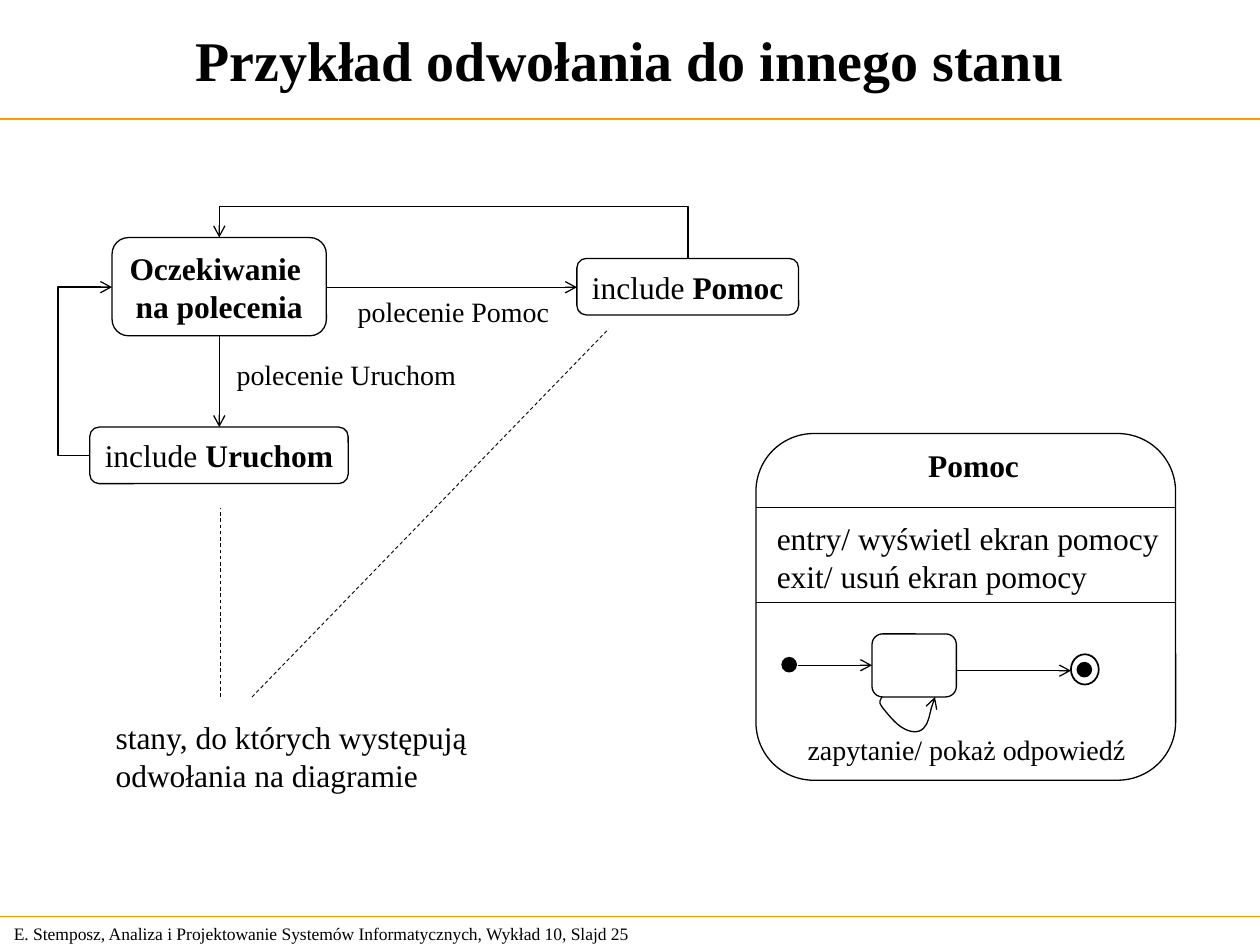
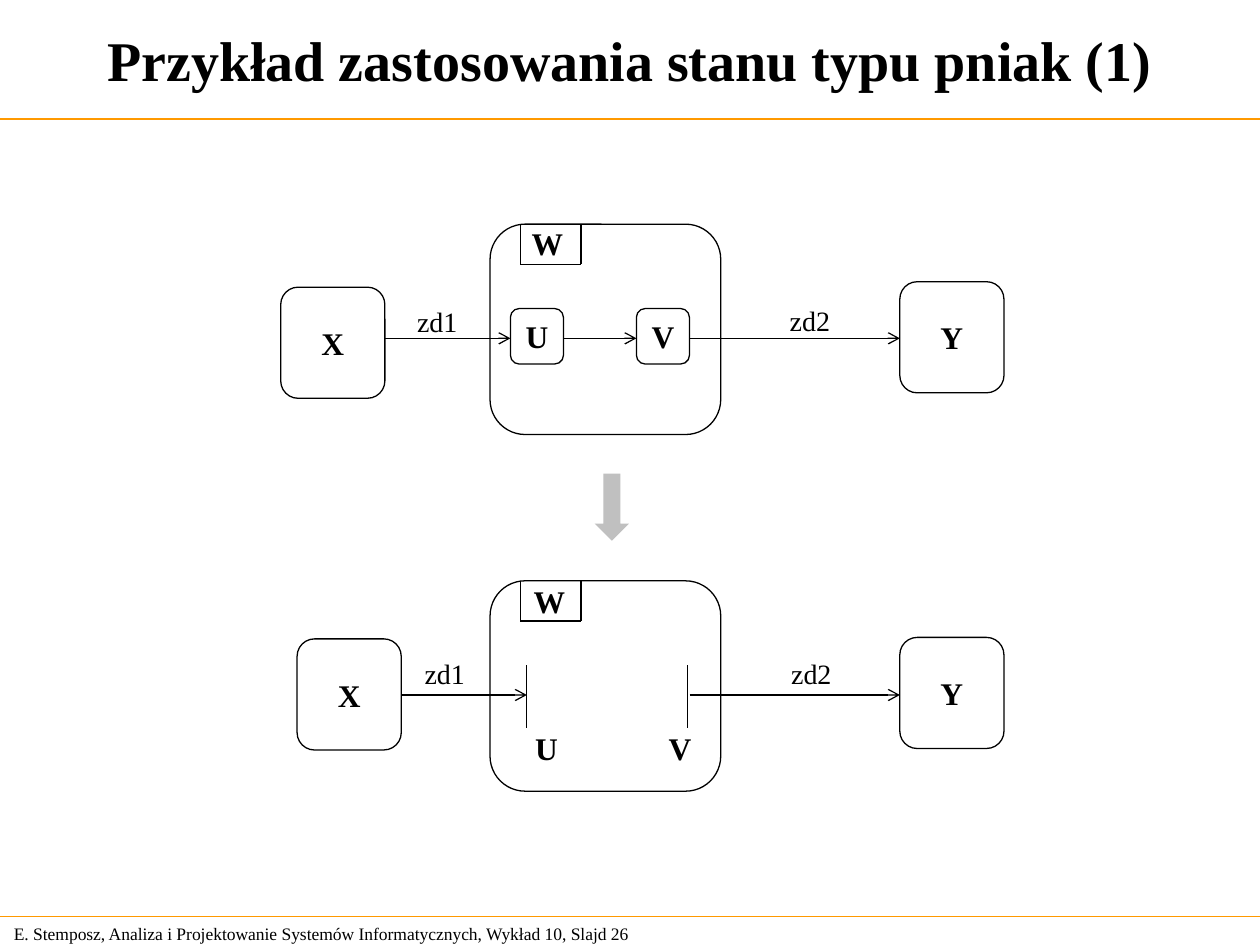
from dataclasses import dataclass

from lxml import etree
from pptx import Presentation
from pptx.dml.color import RGBColor
from pptx.enum.dml import MSO_LINE
from pptx.enum.shapes import MSO_CONNECTOR, MSO_SHAPE
from pptx.enum.text import MSO_ANCHOR, MSO_AUTO_SIZE, PP_ALIGN
from pptx.oxml.ns import qn
from pptx.util import Cm, Pt

STRAIGHT, ELBOW = MSO_CONNECTOR.STRAIGHT, MSO_CONNECTOR.ELBOW
ROUNDED, OVAL = MSO_SHAPE.ROUNDED_RECTANGLE, MSO_SHAPE.OVAL
DOWN_ARROW = MSO_SHAPE.DOWN_ARROW
LEFT, CENTER = PP_ALIGN.LEFT, PP_ALIGN.CENTER
MIDDLE, TOP = MSO_ANCHOR.MIDDLE, MSO_ANCHOR.TOP
FIT_SHAPE, NO_FIT = MSO_AUTO_SIZE.SHAPE_TO_FIT_TEXT, MSO_AUTO_SIZE.NONE
DASH = MSO_LINE.DASH
TITLE_ONLY = 5


@dataclass(frozen=True)
class Theme:
    font: str = "Times New Roman"
    ink: RGBColor = RGBColor(0, 0, 0)
    paper: RGBColor = RGBColor(255, 255, 255)
    rule: RGBColor = RGBColor(0xFF, 0x99, 0)
    step: RGBColor = RGBColor(0xC0, 0xC0, 0xC0)
    title: float = 32
    state: float = 18
    event: float = 16
    footer: float = 10
    outline: float = 0.75
    pseudo: float = 1
    note: float = 0.5


THEME = Theme()
WIDTH, HEIGHT = 25.4, 19.05
HEADER_RULE, FOOTER_RULE = 2.4, 18.48
FOOTER = "E. Stemposz, Analiza i Projektowanie Systemów Informatycznych, Wykład 10, Slajd "


def plain(*lines):
    return [[(line, False)] for line in lines]


def bold(*lines):
    return [[(line, True)] for line in lines]


def write(frame, lines, size, align=LEFT, anchor=TOP):
    frame.vertical_anchor = anchor
    for number, line in enumerate(lines):
        paragraph = frame.add_paragraph() if number else frame.paragraphs[0]
        paragraph.alignment = align
        for text, is_bold in line:
            run = paragraph.add_run()
            run.text = text
            run.font.name = THEME.font
            run.font.size = Pt(size)
            run.font.bold = is_bold
            run.font.color.rgb = THEME.ink


def stroke(line, color=THEME.ink, width=THEME.outline):
    line.color.rgb = color
    line.width = Pt(width)


def add_arrowhead(properties):
    outline = properties.find(qn("a:ln"))
    etree.SubElement(outline, qn("a:tailEnd"), type="arrow")


class Region:
    def __init__(self, slide, left=0, top=0):
        self.shapes = slide.shapes
        self.left, self.top = left, top

    def at(self, x, y):
        return Cm(self.left + x), Cm(self.top + y)

    def preset(self, kind, x, y, width, height, fill=THEME.paper, outline=THEME.outline):
        shape = self.shapes.add_shape(kind, *self.at(x, y), Cm(width), Cm(height))
        shape.shadow.inherit = False
        if fill is None:
            shape.fill.background()
        else:
            shape.fill.solid()
            shape.fill.fore_color.rgb = fill
        if outline:
            stroke(shape.line, width=outline)
        else:
            shape.line.fill.background()
        return shape

    def state(self, x, y, width, height, lines=()):
        shape = self.preset(ROUNDED, x, y, width, height)
        shape.text_frame.word_wrap = False
        write(shape.text_frame, lines, THEME.state, CENTER, MIDDLE)

    def label(self, x, y, width, height, lines, size=THEME.state):
        frame = self.shapes.add_textbox(*self.at(x, y), Cm(width), Cm(height)).text_frame
        frame.word_wrap = False
        frame.auto_size = FIT_SHAPE
        write(frame, lines, size)

    def event(self, x, y, width, text):
        self.label(x, y, width, 0.94, plain(text), THEME.event)

    def line(self, start, end, color=THEME.ink, width=THEME.outline, kind=STRAIGHT):
        connector = self.shapes.add_connector(kind, *self.at(*start), *self.at(*end))
        stroke(connector.line, color, width)
        etree.SubElement(connector._element.spPr, qn("a:effectLst"))
        return connector

    def arrow(self, start, end, kind=STRAIGHT):
        connector = self.line(start, end, kind=kind)
        add_arrowhead(connector._element.spPr)
        return connector

    def note_line(self, start, end):
        self.line(start, end, width=THEME.note).line.dash_style = DASH

    def elbow(self, start, end, bend, vertical=False):
        axis = int(vertical)
        ratio = (bend - start[axis]) / (end[axis] - start[axis])
        if vertical:
            middle_x, middle_y = ((a + b) / 2 for a, b in zip(start, end))
            half_x, half_y = ((a - b) / 2 for a, b in zip(start, end))
            start = middle_x - half_y, middle_y + half_x
            end = middle_x + half_y, middle_y - half_x
        properties = self.arrow(start, end, ELBOW)._element.spPr
        if vertical:
            properties.find(qn("a:xfrm")).set("rot", str(270 * 60000))
        adjustments = properties.find(qn("a:prstGeom")).find(qn("a:avLst"))
        etree.SubElement(adjustments, qn("a:gd"), name="adj1",
                         fmla=f"val {round(ratio * 100000)}")

    def curved_arrow(self, points):
        start, *controls = [self.at(*point) for point in points]
        builder = self.shapes.build_freeform(*start)
        builder.add_line_segments(controls, close=False)
        curve = builder.convert_to_shape()
        curve.shadow.inherit = False
        curve.fill.background()
        stroke(curve.line)
        add_arrowhead(curve._element.spPr)
        segments = list(curve._element.iter(qn("a:lnTo")))
        for first in range(0, len(segments), 3):
            cubic = etree.Element(qn("a:cubicBezTo"))
            segments[first].addprevious(cubic)
            for segment in segments[first:first + 3]:
                cubic.append(segment[0])
                segment.getparent().remove(segment)


def add_framed_slide(deck, title, number):
    slide = deck.slides.add_slide(deck.slide_layouts[TITLE_ONLY])
    heading = slide.shapes.title
    heading.left, heading.top = Cm(0.1), Cm(0.12)
    heading.width, heading.height = Cm(25.2), Cm(2.16)
    heading.text_frame.auto_size = NO_FIT
    write(heading.text_frame, bold(title), THEME.title, CENTER, MIDDLE)
    page = Region(slide)
    for y in (HEADER_RULE, FOOTER_RULE):
        page.line((0, y), (WIDTH, y), THEME.rule)
    footer = slide.shapes.add_textbox(Cm(0.03), Cm(FOOTER_RULE), Cm(13.31), Cm(0.69))
    footer.text_frame.word_wrap = True
    write(footer.text_frame, plain(f"{FOOTER}{number}"), THEME.footer, anchor=MIDDLE)
    return slide


def draw_command_states(slide, left, top):
    region = Region(slide, left, top)
    axis_x, axis_y = 3.25, 1.62
    region.state(1.09, 0.62, 4.32, 1.98, bold("Oczekiwanie ", "na polecenia"))
    for x, y, width, target in ((10.46, 1.04, 4.47, "Pomoc"), (0.64, 4.44, 5.21, "Uruchom")):
        region.state(x, y, width, 1.14, [[("include ", False), (target, True)]])
    region.arrow((5.41, axis_y), (10.46, axis_y))
    region.arrow((axis_x, 2.6), (axis_x, 4.44))
    region.elbow((12.7, 1.04), (axis_x, 0.62), 0, vertical=True)
    region.elbow((0.64, 5.01), (1.09, axis_y), 0)
    region.event(5.79, 1.65, 4.37, "polecenie Pomoc")
    region.event(3.35, 2.92, 4.93, "polecenie Uruchom")
    region.note_line((3.28, 9.88), (3.28, 6.07))
    region.note_line((3.91, 9.88), (11.1, 2.46))
    region.label(0.91, 10.18, 7.62, 1.78,
                 plain("stany, do których występują", "odwołania na diagramie"))


def draw_help_state(slide, left, top, width, height):
    region = Region(slide, left, top)
    region.state(0, 0, width, height)
    region.label(3.22, 0.13, 2.34, 1.02, bold("Pomoc"))
    region.label(0.17, 1.6, 8.4, 1.78,
                 plain("entry/ wyświetl ekran pomocy", "exit/ usuń ekran pomocy"))
    for y in (1.49, 3.4):
        region.line((0, y), (width, y))
    region.state(2.34, 4.04, 1.7, 1.27)
    region.preset(OVAL, 6.35, 4.45, 0.56, 0.61, None, THEME.pseudo)
    for x, y in ((0.53, 4.52), (6.48, 4.62)):
        region.preset(OVAL, x, y, 0.28, 0.28, THEME.ink, THEME.pseudo)
    region.arrow((0.84, 4.67), (2.34, 4.67))
    region.arrow((4.04, 4.78), (6.35, 4.78))
    region.curved_arrow([
        (2.54, 5.31),
        (2.51, 5.36), (2.46, 5.41), (2.54, 5.51),
        (2.62, 5.61), (2.82, 5.87), (2.97, 5.94),
        (3.1, 6.02), (3.28, 6.05), (3.38, 5.94),
        (3.48, 5.84), (3.56, 5.38), (3.61, 5.31),
    ])
    region.event(0.79, 5.9, 6.91, "zapytanie/ pokaż odpowiedź")


def draw_composite(slide, left, top, x_state, y_state, name, events, entry, leave):
    region = Region(slide, left, top)
    axis, side, height = 2.3, 2.1, 2.24
    region.state(0, 0, 4.65, 4.24)
    region.label(*name, 1.14, 1.02, bold("W"))
    tab = [(0.61, 0), (0.61, 0.81), (1.83, 0.81), (1.83, 0)]
    for start, end in zip(tab, tab[1:]):
        region.line(start, end)
    for corner, letter in ((x_state, "X"), (y_state, "Y")):
        region.state(*corner, side, height, bold(letter))
    region.arrow((x_state[0] + side, axis), (entry, axis))
    region.arrow((leave, axis), (y_state[0], axis))
    for corner, text in zip(events, ("zd1", "zd2")):
        region.event(*corner, 1.32, text)
    return region


def draw_full_states(region):
    for x, letter in ((0.41, "U"), (2.95, "V")):
        region.state(x, 1.7, 1.07, 1.12, bold(letter))
    region.arrow((1.48, 2.3), (2.95, 2.3))


def draw_stub_states(region):
    for x, label_x, letter in ((0.74, 0.66, "U"), (3.98, 3.35, "V")):
        region.line((x, 1.7), (x, 2.97))
        region.label(label_x, 2.87, 0.97, 1.02, bold(letter))


def draw_step(slide, left, top):
    step = Region(slide, left, top)
    step.preset(DOWN_ARROW, 0, 0, 0.69, 1.35, THEME.step, None)


def main():
    deck = Presentation()
    deck.slide_width, deck.slide_height = Cm(WIDTH), Cm(HEIGHT)

    reference = add_framed_slide(deck, "Przykład odwołania do innego stanu", 25)
    draw_command_states(reference, 1.17, 4.17)
    draw_help_state(reference, 15.24, 8.74, 8.46, 6.99)

    stub = add_framed_slide(deck, "Przykład zastosowania stanu typu pniak (1)", 26)
    full = draw_composite(stub, 9.88, 4.52, (-4.22, 1.27), (8.26, 1.16), (0.59, -0.13),
                          ((-1.72, 1.5), (5.79, 1.48)), entry=0.41, leave=4.02)
    draw_full_states(full)
    draw_step(stub, 11.99, 9.55)
    reduced = draw_composite(stub, 9.88, 11.71, (-3.89, 1.17), (8.26, 1.14), (0.63, -0.1),
                             ((-1.57, 1.4), (5.82, 1.41)), entry=0.74, leave=4.02)
    draw_stub_states(reduced)
    deck.save("out.pptx")


if __name__ == "__main__":
    main()
